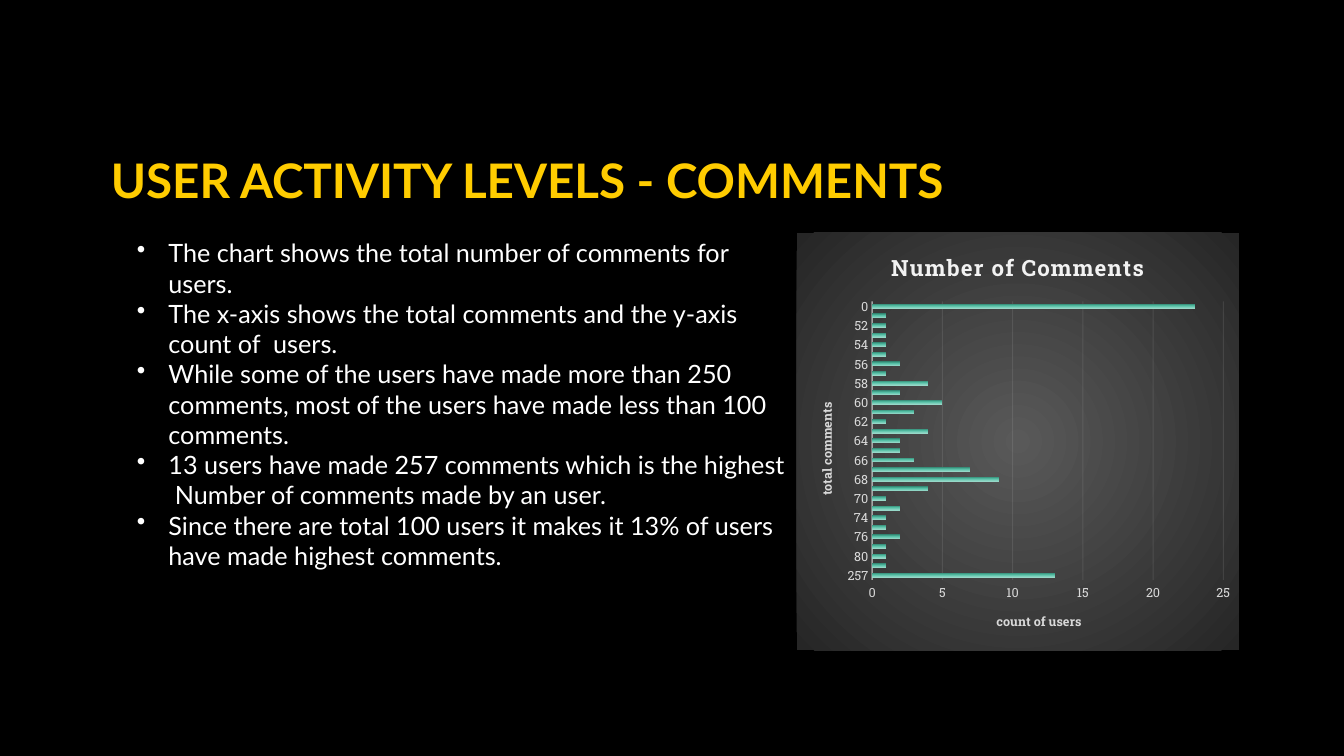
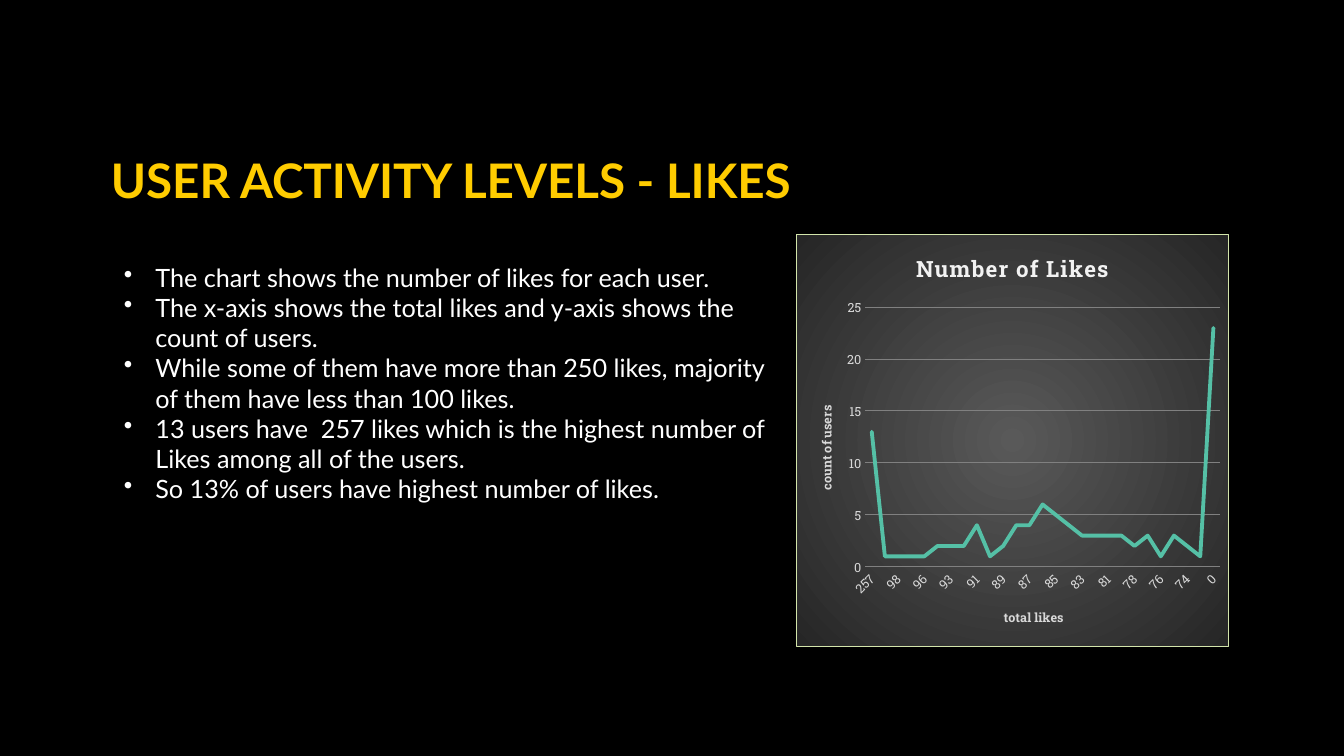
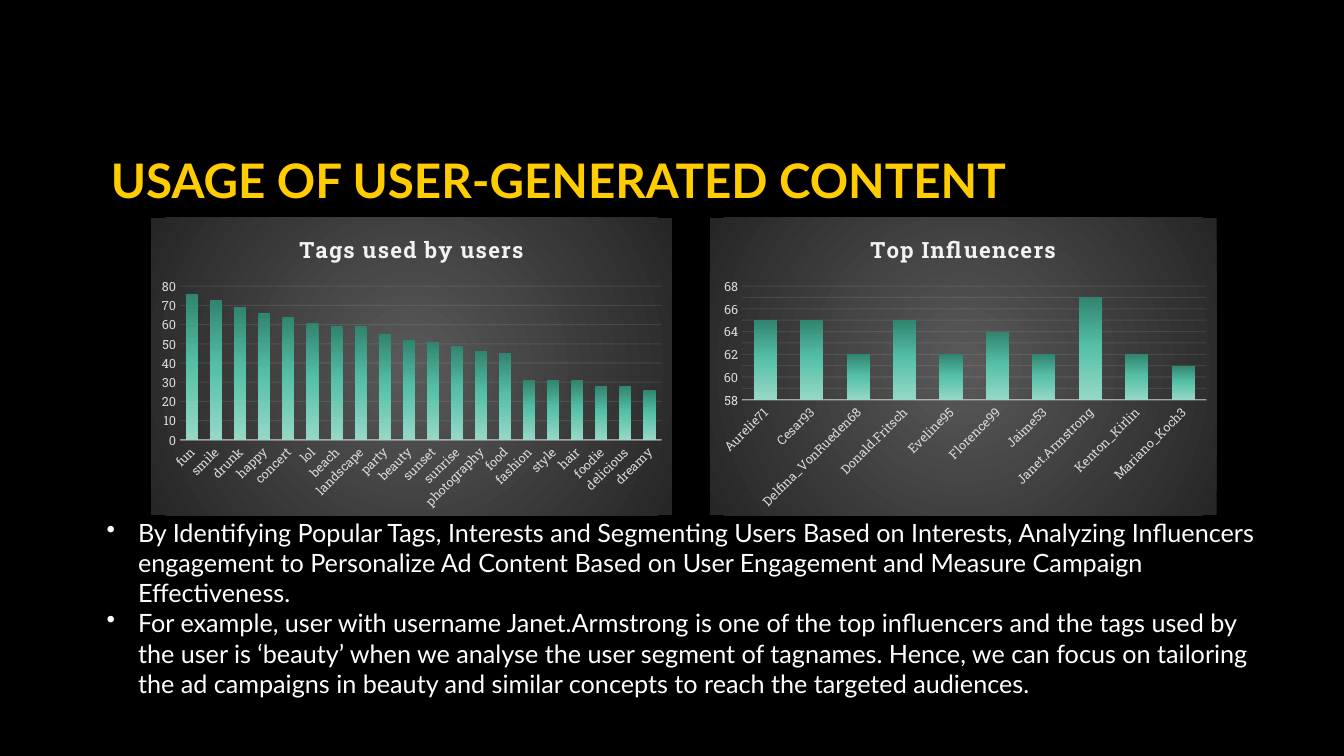
from pptx import Presentation
from pptx.chart.data import CategoryChartData
from pptx.dml.color import RGBColor
from pptx.enum.chart import XL_CHART_TYPE as ChartType, XL_TICK_MARK as TickMark
from pptx.enum.text import MSO_ANCHOR as Anchor, MSO_AUTO_SIZE as AutoSize, PP_ALIGN as Align
from pptx.oxml import parse_xml
from pptx.oxml.ns import nsdecls
from pptx.util import Pt

TEXT_FONT, CHART_FONT = "Lato", "Roboto Slab"
BLACK, WHITE, YELLOW = "000000", "FFFFFF", "FFCC00"
PALE, LABEL, GRID, TEAL, LIME = "F2F2F2", "D9D9D9", "808080", "55C0A6", "D3E5AB"
INDENT = Pt(22.5)
BAR_STOPS = [(0, "318470"), (48, TEAL), (100, "96D8C8")]
AREA_STOPS = [(0, "595959"), (100, "262626")]
DOWNWARD = '<a:lin ang="5400000" scaled="0"/>'
CIRCLE = '<a:path path="circle"><a:fillToRect l="50000" t="50000" r="50000" b="50000"/></a:path>'


def color(value):
    return RGBColor.from_string(value)


def gradient(stops, shade):
    marks = "".join(
        f'<a:gs pos="{place * 1000}"><a:srgbClr val="{value}"/></a:gs>' for place, value in stops
    )
    return parse_xml(f'<a:gradFill {nsdecls("a")}><a:gsLst>{marks}</a:gsLst>{shade}</a:gradFill>')


SLIDES = [
    {
        "title": "USER ACTIVITY LEVELS - COMMENTS",
        "box": (90.7, 166.3, 478, 269),
        "bullets": [
            "The chart shows the total number of comments for users.",
            "The x-axis shows the total comments and the y-axis count of  users.",
            "While some of the users have made more than 250 comments, most of the users have made less than 100 comments.",
            "13 users have made 257 comments which is the highest  Number of comments made by an user.",
            "Since there are total 100 users it makes it 13% of users have made highest comments.",
        ],
        "charts": [
            {
                "kind": ChartType.BAR_CLUSTERED,
                "at": (569, 166.3, 316, 298),
                "title": "Number of Comments",
                "axis_titles": ("total comments", "count of users"),
                "gap": 115,
                "overlap": -20,
                "categories": "257 83 80 77 76 75 74 72 70 69 68 67 66 65 64 63 62 61 60 59 58 57 56 55 54 53 52 49 0",
                "values": [13, 1, 1, 1, 2, 1, 1, 2, 1, 4, 9, 7, 3, 2, 2, 4, 1, 3, 5, 2, 4, 1, 2, 1, 1, 1, 1, 1, 23],
            },
        ],
    },
    {
        "title": "USER ACTIVITY LEVELS - LIKES",
        "box": (81.4, 183.6, 500, 204),
        "bullets": [
            "The chart shows the number of likes for each user.",
            "The x-axis shows the total likes and y-axis shows the\vcount of users.",
            "While some of them have more than 250 likes, majority\vof them have less than 100 likes.",
            "13 users have  257 likes which is the highest number of\vLikes among all of the users.",
            "So 13% of users have highest number of likes.",
        ],
        "charts": [
            {
                "kind": ChartType.LINE,
                "at": (568.5, 167, 309.5, 295),
                "title": "Number of Likes",
                "axis_titles": ("total likes", "count of users"),
                "categories": "257 103 98 97 96 94 93 92 91 90 89 88 87 86 85 84 83 82 81 79 78 77 76 75 74 69 0",
                "values": [13, 1, 1, 1, 1, 2, 2, 2, 4, 1, 2, 4, 4, 6, 5, 4, 3, 3, 3, 3, 2, 3, 1, 3, 2, 1, 23],
            },
        ],
    },
    {
        "title": "USAGE OF USER-GENERATED CONTENT",
        "box": (69, 365.8, 845.5, 160),
        "bullets": [
            "By Identifying Popular Tags, Interests and Segmenting Users Based on Interests, Analyzing Influencers engagement to Personalize Ad Content Based on User Engagement and Measure Campaign Effectiveness.",
            "For example, user with username Janet.Armstrong is one of the top influencers and the tags used by the user is ‘beauty’ when we analyse the user segment of tagnames. Hence, we can focus on tailoring the ad campaigns in beauty and similar concepts to reach the targeted audiences.",
        ],
        "charts": [
            {
                "kind": ChartType.COLUMN_CLUSTERED,
                "at": (507, 155.5, 362, 212.5),
                "title": "Top Influencers",
                "gap": 100,
                "overlap": -24,
                "scale": (58, 68, 1),
                "categories": "Aurelie71 Cesar93 Delfina_VonRueden68 Donald.Fritsch Eveline95 Florence99 Jaime53 Janet.Armstrong Kenton_Kirlin Mariano_Koch3",
                "values": [65, 65, 62, 65, 62, 64, 62, 67, 62, 61],
            },
            {
                "kind": ChartType.COLUMN_CLUSTERED,
                "at": (108, 155.5, 372, 212.5),
                "title": "Tags used by users",
                "gap": 100,
                "overlap": -24,
                "categories": "fun smile drunk happy concert lol beach landscape party beauty sunset sunrise photography food fashion style hair foodie delicious dreamy",
                "values": [76, 73, 69, 66, 64, 61, 59, 59, 55, 52, 51, 49, 46, 45, 31, 31, 31, 28, 28, 26],
            },
        ],
    },
]

deck = Presentation()
deck.slide_width, deck.slide_height = Pt(960), Pt(540)
background = deck.slide_master.background.fill
background.solid()
background.fore_color.rgb = color(BLACK)

for content in SLIDES:
    page = deck.slides.add_slide(deck.slide_layouts[5])
    title = page.shapes.title
    title.left, title.top, title.width, title.height = Pt(72), Pt(48), Pt(815), Pt(104.5)
    frame = title.text_frame
    frame.text = content["title"]
    frame.word_wrap = True
    frame.auto_size = AutoSize.NONE
    frame.vertical_anchor = Anchor.BOTTOM
    para = frame.paragraphs[0]
    para.alignment = Align.LEFT
    para.line_spacing = 0.9
    para.font.name, para.font.size, para.font.bold = TEXT_FONT, Pt(34), True
    para.font.color.rgb = color(YELLOW)

    box = page.shapes.add_textbox(*map(Pt, content["box"]))
    frame = box.text_frame
    frame.word_wrap = True
    for index, bullet in enumerate(content["bullets"]):
        para = frame.add_paragraph() if index else frame.paragraphs[0]
        para.text = bullet
        settings = para._p.get_or_add_pPr()
        settings.set("marL", str(INDENT))
        settings.set("indent", str(-INDENT))
        settings.append(parse_xml(f'<a:buClr {nsdecls("a")}><a:srgbClr val="{WHITE}"/></a:buClr>'))
        settings.append(parse_xml(f'<a:buChar {nsdecls("a")} char="•"/>'))
        para.font.name, para.font.size = TEXT_FONT, Pt(18)
        para.font.color.rgb = color(WHITE)

    for item in content["charts"]:
        is_line = item["kind"] == ChartType.LINE
        data = CategoryChartData()
        data.categories = item["categories"].split()
        data.add_series("Series 1", item["values"])
        chart = page.shapes.add_chart(item["kind"], *map(Pt, item["at"]), data).chart
        chart.has_legend = False
        chart.font.name, chart.font.size = CHART_FONT, Pt(10)
        chart.font.color.rgb = color(WHITE)

        category_axis, value_axis = chart.category_axis, chart.value_axis
        headings = [(chart, "title", 16, PALE)]
        for axis, name in zip((category_axis, value_axis), item.get("axis_titles", ())):
            headings.append((axis, name, 9, LABEL))
        for owner, name, size, tint in headings:
            if owner is chart:
                heading = chart.chart_title.text_frame
                name = item["title"]
            else:
                heading = owner.axis_title.text_frame
            heading.text = name
            span = heading.paragraphs[0].runs[0]
            span.font.name, span.font.size, span.font.bold = CHART_FONT, Pt(size), True
            span.font.color.rgb = color(tint)
        chart.element.xpath("./c:chart/c:title//a:rPr")[0].set("spc", "100")

        for axis in (category_axis, value_axis):
            axis.major_tick_mark = axis.minor_tick_mark = TickMark.NONE
            axis.format.line.fill.background()
            font = axis.tick_labels.font
            font.name, font.size = CHART_FONT, Pt(9)
            font.color.rgb = color(LABEL)
        if item["kind"] != ChartType.BAR_CLUSTERED:
            chart.element.xpath(".//c:catAx/c:txPr/a:bodyPr")[0].set("rot", "-2700000")

        value_axis.has_major_gridlines = True
        grid = value_axis.major_gridlines.format.line
        grid.width = Pt(0.75)
        grid.color.rgb = color(GRID if is_line else PALE)
        if "scale" in item:
            value_axis.minimum_scale, value_axis.maximum_scale, value_axis.major_unit = item["scale"]

        plot = chart.plots[0]
        plot.vary_by_categories = False
        series = plot.series[0]
        if is_line:
            series.smooth = False
            series.format.line.width = Pt(2.75)
            series.format.line.color.rgb = color(TEAL)
            chart.element.xpath(".//c:ser/c:spPr/a:ln")[0].set("cap", "rnd")
            border = f'<a:ln w="{Pt(0.75)}"><a:solidFill><a:srgbClr val="{LIME}"/></a:solidFill></a:ln>'
        else:
            plot.gap_width, plot.overlap = item["gap"], item["overlap"]
            category_axis.format.line.width = Pt(1)
            category_axis.format.line.color.rgb = color(PALE)
            for place, opacity in (("c:catAx", 54), ("c:majorGridlines", 10)):
                tint = chart.element.xpath(f".//{place}/c:spPr/a:ln/a:solidFill/a:srgbClr")[0]
                tint.append(parse_xml(f'<a:alpha {nsdecls("a")} val="{opacity * 1000}"/>'))
            series.format.fill.background()
            empty_fill = chart.element.xpath(".//c:ser/c:spPr/a:noFill")[0]
            empty_fill.getparent().replace(empty_fill, gradient(BAR_STOPS, DOWNWARD))
            border = "<a:ln><a:noFill/></a:ln>"

        area = parse_xml(f'<c:spPr {nsdecls("c", "a")}>{border}</c:spPr>')
        area.insert(0, gradient(AREA_STOPS, CIRCLE))
        chart.element.xpath("./c:chart")[0].addnext(area)

deck.save("out.pptx")
